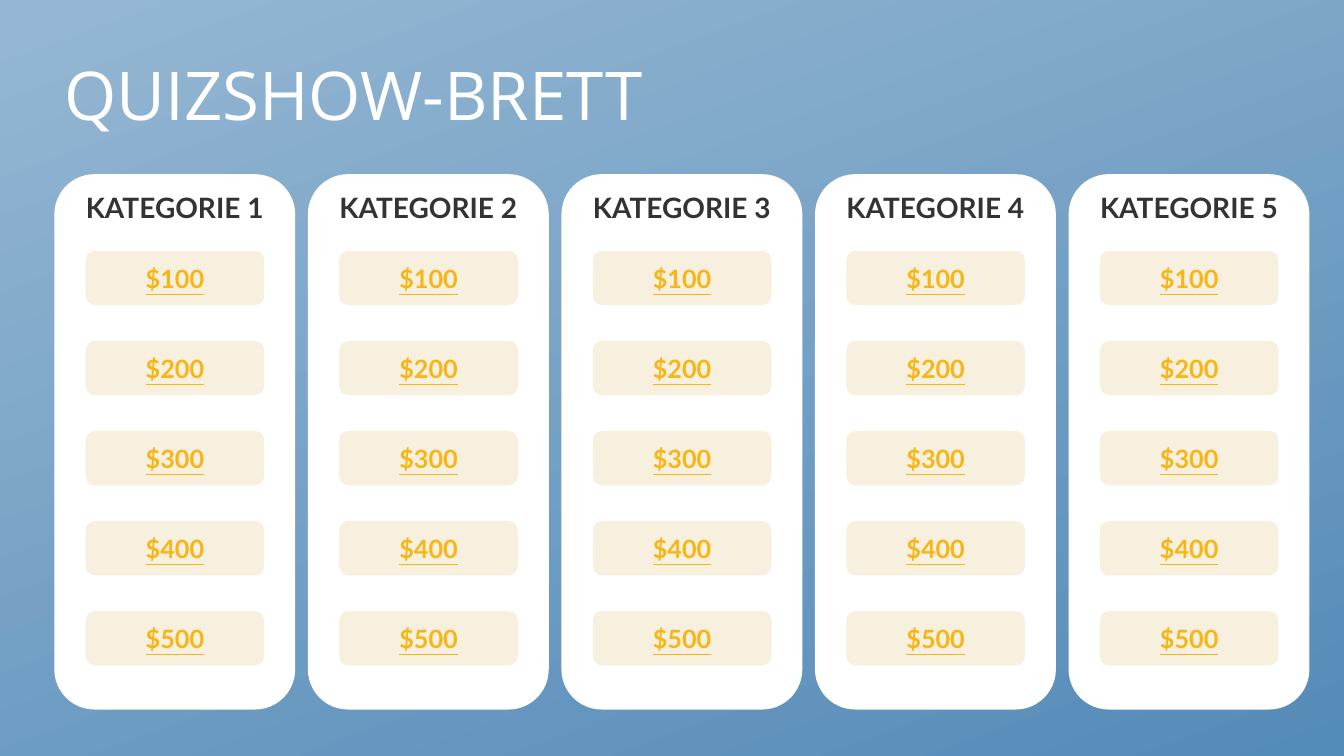
from dataclasses import dataclass

from pptx import Presentation
from pptx.dml.color import RGBColor
from pptx.enum.shapes import MSO_SHAPE
from pptx.enum.text import MSO_ANCHOR, MSO_AUTO_SIZE, PP_ALIGN
from pptx.slide import Slide
from pptx.util import Cm, Pt

ROUND = MSO_SHAPE.FLOWCHART_ALTERNATE_PROCESS
TOP, MIDDLE = MSO_ANCHOR.TOP, MSO_ANCHOR.MIDDLE
LEFT, CENTER = PP_ALIGN.LEFT, PP_ALIGN.CENTER
NO_FIT = MSO_AUTO_SIZE.NONE

WHITE = RGBColor(0xFF, 0xFF, 0xFF)
CREAM = RGBColor(0xF7, 0xF0, 0xDE)
GOLD = RGBColor(0xF7, 0xB6, 0x15)
DARK = RGBColor(0x33, 0x33, 0x33)
LIGHT_BLUE = RGBColor(0x94, 0xB6, 0xD2)
DEEP_BLUE = RGBColor(0x55, 0x8B, 0xB8)

COLUMNS, ROWS = 5, 5
COLUMN_STEP, ROW_STEP = 6.39, 2.27


@dataclass(frozen=True)
class Card:
    """Look of one kind of card; lengths in cm, place of the first one."""
    left: float
    top: float
    width: float
    height: float
    fill: RGBColor
    ink: RGBColor
    size: int
    anchor: MSO_ANCHOR
    underline: bool


PANEL = Card(1.37, 4.39, 6.07, 13.49, WHITE, DARK, 20, TOP, False)
PRIZE = Card(2.16, 6.32, 4.5, 1.37, CREAM, GOLD, 18, MIDDLE, True)


def add_card(slide: Slide, card: Card, column: int, row: int, text: str) -> None:
    shape = slide.shapes.add_shape(
        ROUND,
        Cm(card.left + column * COLUMN_STEP),
        Cm(card.top + row * ROW_STEP),
        Cm(card.width),
        Cm(card.height),
    )
    shape.shadow.inherit = False
    shape.fill.solid()
    shape.fill.fore_color.rgb = card.fill
    shape.line.fill.background()
    frame = shape.text_frame
    frame.word_wrap = True
    frame.vertical_anchor = card.anchor
    par = frame.paragraphs[0]
    par.alignment = CENTER
    run = par.add_run()
    run.text = text
    font = run.font
    font.name = "Lato"
    font.size = Pt(card.size)
    font.bold = True
    font.underline = card.underline
    font.color.rgb = card.ink


def paint_back(slide: Slide) -> None:
    fill = slide.background.fill
    fill.gradient()
    fill.gradient_angle = 290
    stops = ((0.02, LIGHT_BLUE), (1.0, DEEP_BLUE))
    for stop, (place, color) in zip(fill.gradient_stops, stops):
        stop.position = place
        stop.color.rgb = color


def set_title(slide: Slide, text: str) -> None:
    title = slide.shapes.title
    title.left, title.top = Cm(1.37), Cm(0.64)
    title.width, title.height = Cm(29.21), Cm(3.68)
    frame = title.text_frame
    frame.word_wrap = True
    frame.auto_size = NO_FIT
    frame.vertical_anchor = MIDDLE
    par = frame.paragraphs[0]
    par.alignment = LEFT
    par.line_spacing = 0.9
    run = par.add_run()
    run.text = text
    run.font.name = "Open Sans"
    run.font.size = Pt(48)
    run.font.color.rgb = WHITE


def main() -> None:
    deck = Presentation()
    deck.slide_width, deck.slide_height = Cm(33.87), Cm(19.05)
    slide = deck.slides.add_slide(deck.slide_layouts.get_by_name("Title Only"))
    paint_back(slide)
    set_title(slide, "QUIZSHOW-BRETT")
    for column in range(COLUMNS):
        add_card(slide, PANEL, column, 0, f"KATEGORIE {column + 1}")
    for column in range(COLUMNS):
        for row in range(ROWS):
            add_card(slide, PRIZE, column, row, f"${100 * (row + 1)}")
    deck.save("out.pptx")


if __name__ == "__main__":
    main()
